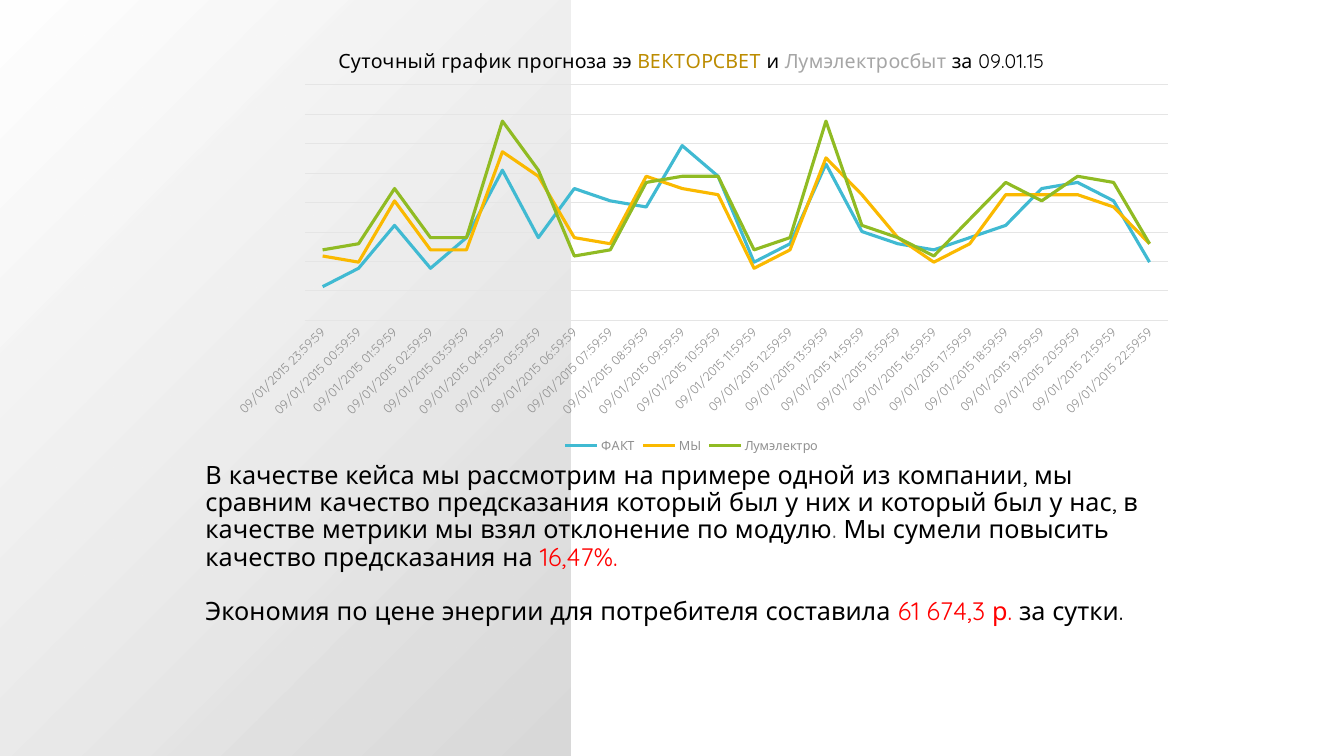
"""Build the slide comparing daily energy forecasts with the actual load."""
from dataclasses import dataclass

from lxml import etree
from pptx import Presentation
from pptx.chart.data import CategoryChartData
from pptx.dml.color import RGBColor
from pptx.enum.chart import XL_CHART_TYPE as CT, XL_LEGEND_POSITION as LP
from pptx.enum.chart import XL_MARKER_STYLE as MS, XL_TICK_MARK as TM
from pptx.enum.shapes import MSO_SHAPE
from pptx.oxml import parse_xml
from pptx.oxml.ns import nsdecls
from pptx.util import Pt

FONT = "Quicksand"
BLACK, RED, GREY, GRID = "000000", "FF0000", "909090", "E5E5E5"
LEFT, WIDTH = 139.7, 708.5


@dataclass(frozen=True)
class Span:
    text: str
    color: str = BLACK


@dataclass(frozen=True)
class Line:
    name: str
    color: str
    values: tuple[int, ...]


TITLE = [
    Span("Суточный график прогноза ээ "),
    Span("ВЕКТОРСВЕТ", "BC8C00"),
    Span(" и "),
    Span("Лумэлектросбыт", "A6A6A6"),
    Span(" за 09.01.15"),
]
BODY = [
    [
        Span("В качестве кейса мы рассмотрим на примере одной из компании, мы "
             "сравним качество предсказания который был у них и который был у нас, "
             "в качестве метрики мы взял отклонение по модулю"),
        Span(". ", "545454"),
        Span("Мы сумели повысить качество предсказания на "),
        Span("16,47%.", RED),
    ],
    [
        Span("Экономия по цене энергии для потребителя составила "),
        Span("61 674,3 р. ", RED),
        Span("за сутки."),
    ],
]
LINES = [
    Line("ФАКТ", "40BAD2", (73, 76, 83, 76, 81, 92, 81, 89, 87, 86, 96, 91,
                            77, 80, 93, 82, 80, 79, 81, 83, 89, 90, 87, 77)),
    Line("МЫ", "FAB900", (78, 77, 87, 79, 79, 95, 91, 81, 80, 91, 89, 88,
                          76, 79, 94, 88, 81, 77, 80, 88, 88, 88, 86, 80)),
    Line("Лумэлектро", "90BB23", (79, 80, 89, 81, 81, 100, 92, 78, 79, 90, 91, 91,
                                  79, 81, 100, 83, 81, 78, 84, 90, 87, 91, 90, 80)),
]


def rgb(color: str) -> RGBColor:
    """Turn a hex string into a colour."""
    return RGBColor.from_string(color)


def set_font(font, size: float, color: str) -> None:
    """Apply the slide typeface, a size and a colour."""
    font.name, font.size, font.bold = FONT, Pt(size), False
    font.color.rgb = rgb(color)


def set_line(line, width: float, color: str) -> None:
    """Apply a solid line."""
    line.color.rgb = rgb(color)
    line.width = Pt(width)


def write_spans(p, spans: list[Span], size: float) -> None:
    """Fill a paragraph with coloured runs."""
    for span in spans:
        r = p.add_run()
        r.text = span.text
        set_font(r.font, size, span.color)


def add_panel(s) -> None:
    """Draw the shaded left panel."""
    sp = s.shapes.add_shape(MSO_SHAPE.RECTANGLE, 0, 0, Pt(407.5), Pt(540))
    sp.shadow.inherit = False
    sp.line.fill.background()
    sp.fill.gradient()
    old = sp._element.spPr.find("{*}gradFill")
    old.getparent().replace(old, parse_xml(
        f'<a:gradFill {nsdecls("a")}><a:gsLst>'
        '<a:gs pos="0"><a:srgbClr val="D9D9D9"/></a:gs>'
        '<a:gs pos="100000"><a:srgbClr val="FFFFFF"><a:alpha val="89000"/></a:srgbClr></a:gs>'
        '</a:gsLst><a:path path="circle"><a:fillToRect l="100000" t="100000"/></a:path>'
        '<a:tileRect r="-100000" b="-100000"/></a:gradFill>'))


def add_body(s) -> None:
    """Write the conclusions under the chart."""
    tf = s.shapes.add_textbox(Pt(LEFT), Pt(326.9), Pt(WIDTH), Pt(144.7)).text_frame
    tf.word_wrap = True
    for i, spans in enumerate(BODY):
        p = tf.add_paragraph() if i else tf.paragraphs[0]
        p.line_spacing = 0.9
        p.space_before = Pt(19.5 * i)
        write_spans(p, spans, 18)


def place_plot(chart, x: float, y: float, w: float, h: float) -> None:
    """Fix the inner plot area as fractions of the chart."""
    plot_area = chart._chartSpace.chart.plotArea
    for old in plot_area.findall("{*}layout"):
        plot_area.remove(old)
    layout = parse_xml(f'<c:layout {nsdecls("c")}><c:manualLayout/></c:layout>')
    settings = [("layoutTarget", "inner"), ("xMode", "edge"), ("yMode", "edge"),
                ("x", x), ("y", y), ("w", w), ("h", h)]
    for tag, value in settings:
        etree.SubElement(layout[0], f"{{{layout.nsmap['c']}}}{tag}", val=str(value))
    plot_area.insert(0, layout)


def add_forecast_chart(s) -> None:
    """Draw the hourly line chart."""
    data = CategoryChartData()
    data.categories = [f"09/01/2015 {(h - 1) % 24:02}:59:59" for h in range(24)]
    for line in LINES:
        data.add_series(line.name, line.values)
    chart = s.shapes.add_chart(CT.LINE, Pt(LEFT), Pt(20.9), Pt(WIDTH), Pt(306), data).chart
    set_font(chart.font, 10, "545454")
    chart.has_title = True
    write_spans(chart.chart_title.text_frame.paragraphs[0], TITLE, 14)
    chart.chart_title.include_in_layout = False
    chart.has_legend = True
    chart.legend.position = LP.BOTTOM
    chart.legend.include_in_layout = False
    set_font(chart.legend.font, 9, GREY)

    hours, load = chart.category_axis, chart.value_axis
    hours.major_tick_mark = hours.minor_tick_mark = TM.NONE
    set_font(hours.tick_labels.font, 9, GREY)
    hours._element.txPr.bodyPr.set("rot", "-2700000")
    set_line(hours.format.line, 0.75, GRID)
    load.visible = False
    load.minimum_scale, load.maximum_scale, load.major_unit = 67.5, 105.9, 4.8
    load.has_major_gridlines = True
    set_line(load.major_gridlines.format.line, 0.75, GRID)

    chart.plots[0].vary_by_categories = False
    for series, line in zip(chart.plots[0].series, LINES):
        series.smooth = False
        series.marker.style = MS.NONE
        set_line(series.format.line, 2.25, line.color)
    place_plot(chart, 0.11, 0.13, 0.87, 0.55)


def main() -> None:
    """Build and save the slide."""
    prs = Presentation()
    prs.slide_width, prs.slide_height = Pt(960), Pt(540)
    s = prs.slides.add_slide(prs.slide_layouts[6])
    add_panel(s)
    add_body(s)
    add_forecast_chart(s)
    prs.save("out.pptx")


if __name__ == "__main__":
    main()
